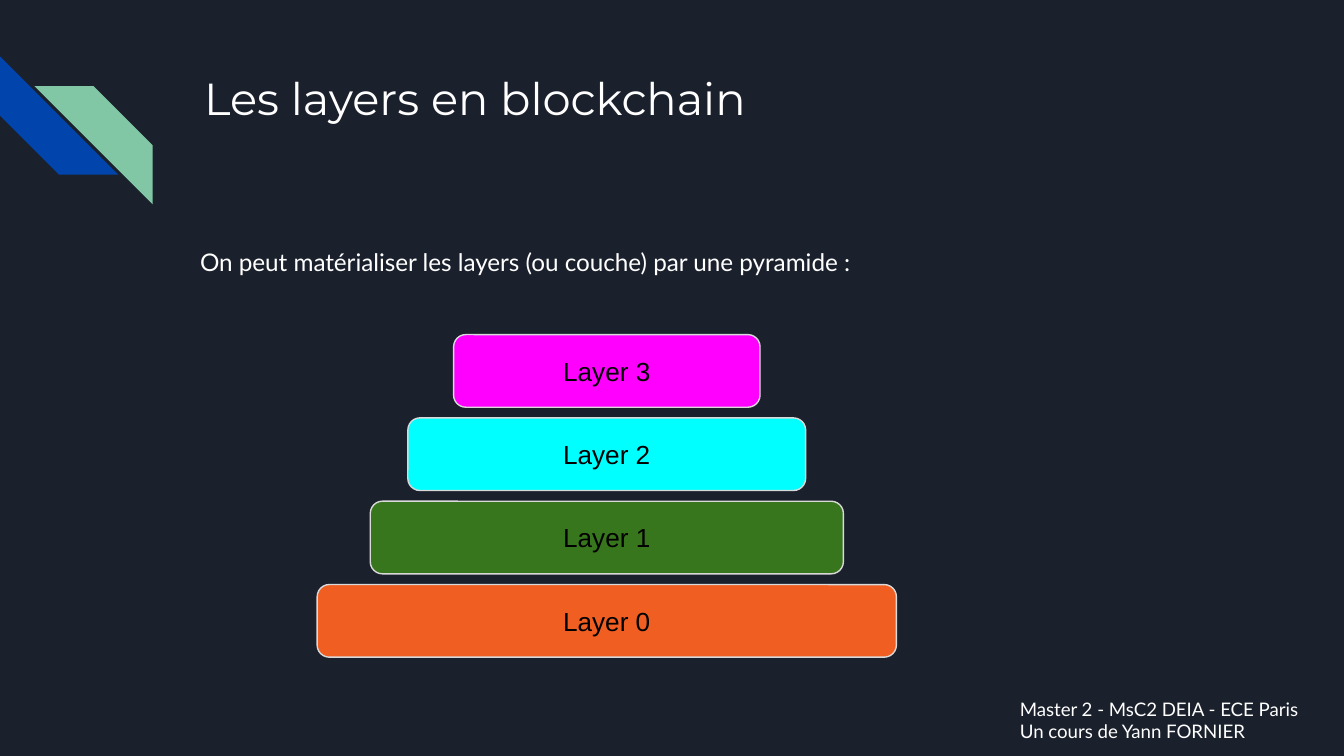
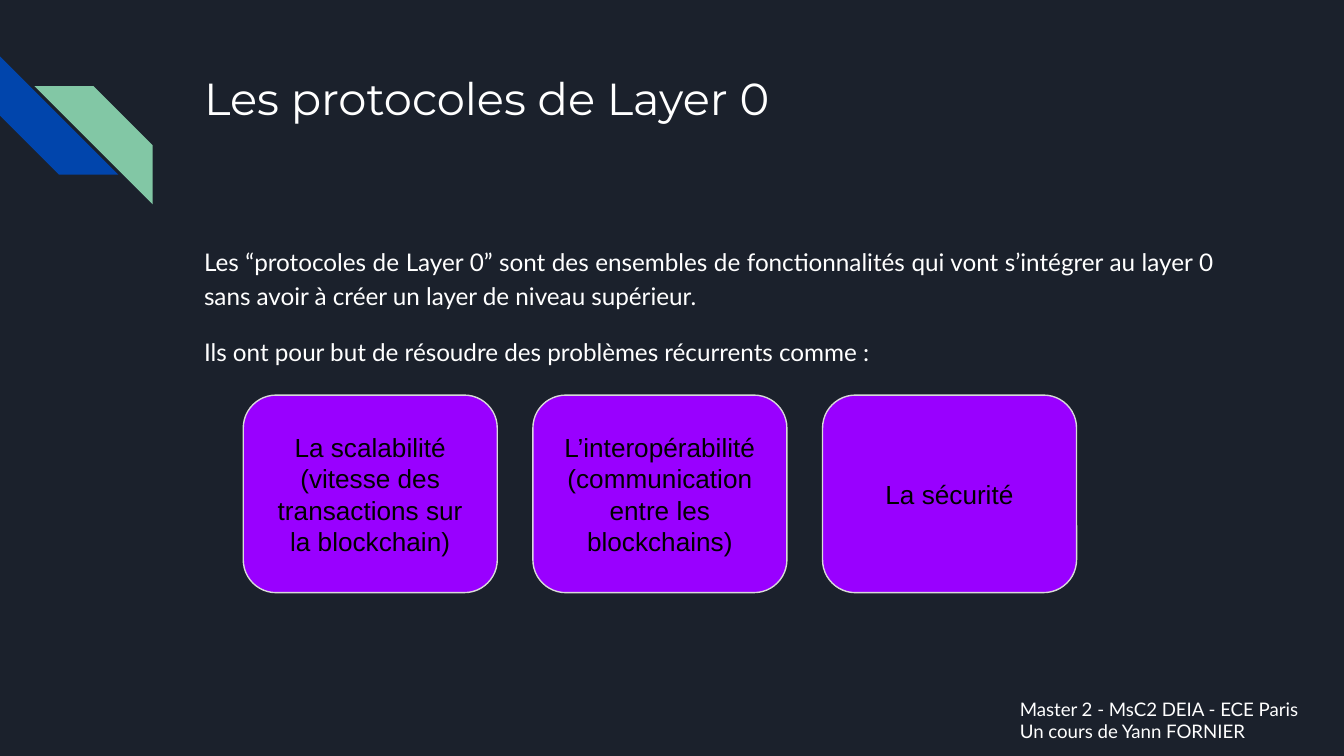
import pptx
import pptx.dml.color
import pptx.enum.shapes
import pptx.enum.text
import pptx.util

PX = 4572
INSET = 20
RGBColor = pptx.dml.color.RGBColor
NAVY = RGBColor(0x1B, 0x21, 0x2C)
BLUE = RGBColor(0x01, 0x45, 0xAC)
MINT = RGBColor(0x82, 0xC7, 0xA5)
WHITE = RGBColor(0xFF, 0xFF, 0xFF)
BLACK = RGBColor(0x00, 0x00, 0x00)
SILVER = RGBColor(0xD9, 0xD9, 0xD9)
ORANGE = RGBColor(0xF1, 0x5E, 0x22)
GREEN = RGBColor(0x38, 0x76, 0x1D)
CYAN = RGBColor(0x00, 0xFF, 0xFF)
MAGENTA = RGBColor(0xFF, 0x00, 0xFF)
PURPLE = RGBColor(0x99, 0x00, 0xFF)

SHAPES = pptx.enum.shapes.MSO_SHAPE
ALIGN = pptx.enum.text.PP_ALIGN
ANCHOR = pptx.enum.text.MSO_ANCHOR
FIT = pptx.enum.text.MSO_AUTO_SIZE

TITLE = {"name": "Montserrat", "size": pptx.util.Pt(24)}
BODY = {"name": "Lato", "size": pptx.util.Pt(13)}
LABEL = {"name": "Arial", "size": pptx.util.Pt(14)}
FOOTER = {"name": "Lato", "size": pptx.util.Pt(10)}


def write(box, lines, font, color, layout=None, gap=0):
    frame = box.text_frame
    frame.word_wrap = True
    for side in ("left", "top", "right", "bottom"):
        setattr(frame, f"margin_{side}", INSET * PX)
    for index, line in enumerate(lines):
        para = frame.paragraphs[0] if index == 0 else frame.add_paragraph()
        for name, value in (layout or {}).items():
            setattr(para, name, value)
        if index and gap:
            para.space_before = pptx.util.Pt(gap)
        span = para.add_run()
        span.text = line
        for name, value in font.items():
            setattr(span.font, name, value)
        span.font.color.rgb = color
    return frame


def add_block(page, kind, place, fill, lines=()):
    block = page.shapes.add_shape(kind, *(length * PX for length in place))
    block.shadow.inherit = False
    block.fill.solid()
    block.fill.fore_color.rgb = fill
    if lines:
        block.line.color.rgb = SILVER
        block.line.width = pptx.util.Pt(0.75)
        frame = write(block, lines, LABEL, BLACK, {"alignment": ALIGN.CENTER})
        frame.vertical_anchor = ANCHOR.MIDDLE
    else:
        block.line.fill.background()
    return block


deck = pptx.Presentation()
deck.slide_width = 2000 * PX
deck.slide_height = 1125 * PX

contents = [
    ("Les layers en blockchain", 278, ALIGN.LEFT,
     ["On peut matérialiser les layers (ou couche) par une pyramide :"]),
    ("Les protocoles de Layer 0", 284, ALIGN.JUSTIFY,
     ["Les “protocoles de Layer 0” sont des ensembles de fonctionnalités qui vont "
      "s’intégrer au layer 0 sans avoir à créer un layer de niveau supérieur.",
      "Ils ont pour but de résoudre des problèmes récurrents comme :"]),
]
pages = []
for title, body_left, alignment, body in contents:
    page = deck.slides.add_slide(deck.slide_layouts[6])
    pages.append(page)
    page.background.fill.solid()
    page.background.fill.fore_color.rgb = NAVY

    for left, top, rotation, color in ((0, 84, 270, BLUE), (51, 128, 90, MINT)):
        stripe = add_block(page, SHAPES.DIAGONAL_STRIPE, (left, top, 176, 176), color)
        stripe.rotation = rotation

    box = page.shapes.add_textbox(284 * PX, 86 * PX, 1540 * PX, 200 * PX)
    write(box, [title], TITLE, WHITE)

    box = page.shapes.add_textbox(body_left * PX, 342 * PX, 1540 * PX, 636 * PX)
    write(box, body, BODY, WHITE, {"alignment": alignment, "line_spacing": 1.15}, gap=12)

    box = page.shapes.add_textbox(1498 * PX, 1018 * PX, 502 * PX, 108 * PX)
    frame = write(box, ["Master 2 - MsC2 DEIA - ECE Paris", "Un cours de Yann FORNIER"],
                  FOOTER, WHITE)
    frame.auto_size = FIT.SHAPE_TO_FIT_TEXT

pyramid_page, protocol_page = pages

layers = [(862, ORANGE), (704, GREEN), (592, CYAN), (456, MAGENTA)]
for level, (width, color) in enumerate(layers):
    place = (903 - width // 2, 870 - 124 * level, width, 108)
    add_block(pyramid_page, SHAPES.ROUNDED_RECTANGLE, place, color, [f"Layer {level}"])

problems = [
    ["La scalabilité", "(vitesse des transactions sur la blockchain)"],
    ["L’interopérabilité", "(communication entre les blockchains)"],
    ["La sécurité"],
]
for column, lines in enumerate(problems):
    place = (362 + 431 * column, 588, 378, 294)
    add_block(protocol_page, SHAPES.ROUNDED_RECTANGLE, place, PURPLE, lines)

deck.save("out.pptx")
